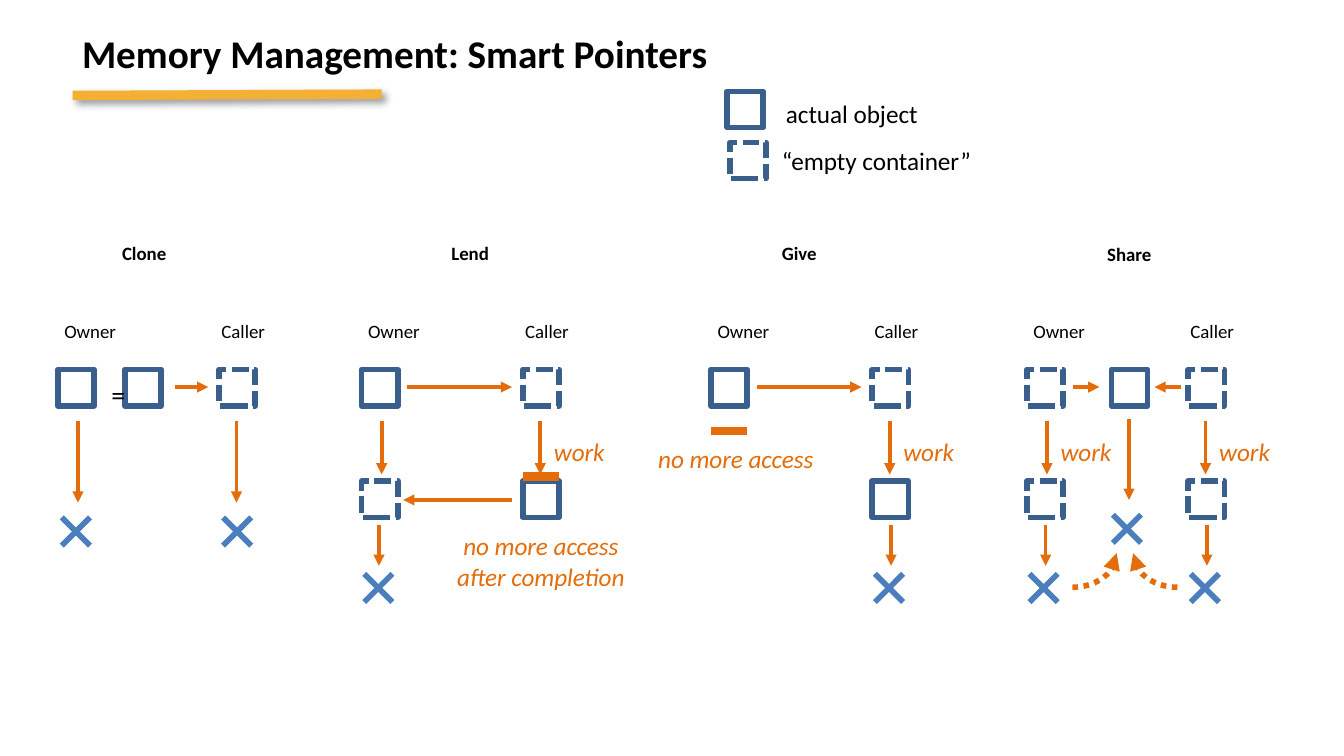
from lxml import etree
from pptx import Presentation
from pptx.dml.color import RGBColor
from pptx.enum.dml import MSO_LINE
from pptx.enum.shapes import MSO_CONNECTOR, MSO_SHAPE
from pptx.enum.text import MSO_ANCHOR, MSO_AUTO_SIZE, PP_ALIGN
from pptx.oxml import parse_xml
from pptx.oxml.ns import nsdecls, qn
from pptx.util import Inches, Pt

STRAIGHT = MSO_CONNECTOR.STRAIGHT
DASH, DOT = MSO_LINE.SQUARE_DOT, MSO_LINE.ROUND_DOT
CENTER, LEFT = PP_ALIGN.CENTER, PP_ALIGN.LEFT

FONT = "Calibri"
BLACK, NAVY, BLUE, ORANGE, GOLD = "000000", "3A5F8C", "4B7EBC", "E46C0A", "F3B033"
SLIDE_WIDTH = 10
SLIDE_HEIGHT = SLIDE_WIDTH * 9 / 16
BOX, CROSS = 0.27, 0.21
CALLER = 1.2  # distance from the owner's box to the caller's box
TOP, MIDDLE = 2.75, 3.58  # rows of boxes
HANDOVER = TOP + 0.13
FULL, EMPTY = False, True

# x values are measured from the left edge of the scheme's owner box
SCHEMES = [
    {"name": "Clone", "x": 0.43, "name_at": (0.38, 1.75, 0.54),
     "boxes": [(0, TOP, FULL), (0.5, TOP, FULL), (CALLER, TOP, EMPTY)],
     "arrows": [(0.87, HANDOVER, 1.12, HANDOVER),
                (0.15, 3.13, 0.15, 3.74), (1.33, 3.13, 1.33, 3.74)],
     "crosses": [(0.03, 3.85), (1.23, 3.85)],
     "bars": [],
     "notes": []},
    {"name": "Lend", "x": 2.69, "name_at": (0.57, 1.75, 0.48),
     "boxes": [(0, TOP, FULL), (CALLER, TOP, EMPTY),
               (0, MIDDLE, EMPTY), (CALLER, MIDDLE, FULL)],
     "arrows": [(0.34, HANDOVER, 1.12, HANDOVER), (1.12, 3.72, 0.31, 3.72),
                (0.15, 3.13, 0.15, 3.53), (1.33, 3.13, 1.33, 3.53),
                (0.13, 3.91, 0.13, 4.21)],
     "crosses": [(0.02, 4.27)],
     "bars": [(CALLER, 3.53)],
     "notes": [("work", 1.33, 3.2, 0.58),
               ("no more access\nafter completion", 0.6, 3.9, 1.47)]},
    {"name": "Give", "x": 5.29, "name_at": (0.43, 1.75, 0.47),
     "boxes": [(0, TOP, FULL), (CALLER, TOP, EMPTY), (CALLER, MIDDLE, FULL)],
     "arrows": [(0.34, HANDOVER, 1.12, HANDOVER),
                (1.33, 3.13, 1.33, 3.53), (1.34, 3.91, 1.34, 4.21)],
     "crosses": [(1.22, 4.27)],
     "bars": [(0, 3.19)],
     "notes": [("work", 1.33, 3.2, 0.58), ("no more access", -0.5, 3.25, 1.37)]},
    {"name": "Share", "x": 7.64, "name_at": (0.5, 1.76, 0.54),
     "boxes": [(0, TOP, EMPTY), (0.63, TOP, FULL), (CALLER, TOP, EMPTY),
               (0, MIDDLE, EMPTY), (CALLER, MIDDLE, EMPTY)],
     "arrows": [(0.34, HANDOVER, 0.54, HANDOVER), (1.15, HANDOVER, 0.95, HANDOVER),
                (0.15, 3.13, 0.15, 3.53), (1.33, 3.13, 1.33, 3.53),
                (0.14, 3.91, 0.14, 4.21), (1.34, 3.91, 1.34, 4.21),
                (0.76, 3.12, 0.76, 3.72)],
     "crosses": [(0.02, 4.27), (1.22, 4.27), (0.64, 3.83)],
     "bars": [],
     "notes": [("work", 0.15, 3.2, 0.58), ("work", 1.33, 3.2, 0.58)]},
]
ROLES = [("Owner", -0.05, 0.59), ("Caller", 1.12, 0.53)]
LEGEND = [  # box x, y, empty; label, x, y, width
    (5.41, 0.68, FULL, "actual object", 5.75, 0.68, 1.2),
    (5.43, 1.06, EMPTY, "“empty container”", 5.72, 1.03, 1.63),
]
ARCS = [(8.43, False), (7.65, True)]  # x, mirrored


def rgb(color):
    return RGBColor.from_string(color)


def style_line(shape, color, width, dash=None, arrow=False):
    line = shape.line
    line.color.rgb = rgb(color)
    line.width = Pt(width)
    if dash is not None:
        line.dash_style = dash
    if arrow:
        etree.SubElement(line._get_or_add_ln(), qn("a:tailEnd"), type="triangle")


def style_text(frame, size, color, align=LEFT, bold=False, italic=False):
    for paragraph in frame.paragraphs:
        paragraph.alignment = align
        for run in paragraph.runs:
            font = run.font
            font.name, font.size = FONT, Pt(size)
            font.bold, font.italic = bold, italic
            font.color.rgb = rgb(color)


def add_label(text, x, y, width, height=0.27, size=10.1, color=BLACK, **style):
    frame = slide.shapes.add_textbox(
        Inches(x), Inches(y), Inches(width), Inches(height)).text_frame
    frame.text = text
    frame.word_wrap = False
    frame.auto_size = MSO_AUTO_SIZE.SHAPE_TO_FIT_TEXT
    style_text(frame, size, color, **style)


def add_line(parent, ends, color, width, arrow=False):
    """Draw a line without shadow and return its effect list."""
    line = parent.add_connector(STRAIGHT, *map(Inches, ends))
    style_line(line, color, width, arrow=arrow)
    return etree.SubElement(line._element.spPr, qn("a:effectLst"))


def add_box(x, y, empty):
    box = slide.shapes.add_shape(
        MSO_SHAPE.RECTANGLE, Inches(x), Inches(y), Inches(BOX), Inches(BOX))
    box.shadow.inherit = False
    box.fill.background()
    style_line(box, NAVY, 3, DASH if empty else None)


def add_cross(x, y):
    strokes = slide.shapes.add_group_shape().shapes
    add_line(strokes, (x, y, x + CROSS, y + CROSS), BLUE, 3)
    add_line(strokes, (x, y + CROSS, x + CROSS, y), BLUE, 3)


def add_bar(x, y):
    """Draw a thick stop bar from two touching lines."""
    for level in (y, y + 0.03):
        add_line(slide.shapes, (x, level, x + BOX, level), ORANGE, 2.25)


def add_arc(x, mirrored):
    arc = slide.shapes.add_shape(
        MSO_SHAPE.ARC, Inches(x), Inches(3.86), Inches(0.66), Inches(0.51))
    arc.rotation = 180
    arc.shadow.inherit = False
    arc.fill.background()
    style_line(arc, ORANGE, 3, DOT, arrow=True)
    if mirrored:
        arc._element.spPr.find(qn("a:xfrm")).set("flipH", "1")


def add_scheme(scheme):
    left = scheme["x"]
    x, y, width = scheme["name_at"]
    add_label(scheme["name"], left + x, y, width, bold=True)
    for role, x, width in ROLES:
        add_label(role, left + x, 2.33, width)
    for x, y, empty in scheme["boxes"]:
        add_box(left + x, y, empty)
    for x1, y1, x2, y2 in scheme["arrows"]:
        add_line(slide.shapes, (left + x1, y1, left + x2, y2), ORANGE, 2, arrow=True)
    for x, y in scheme["crosses"]:
        add_cross(left + x, y)
    for x, y in scheme["bars"]:
        add_bar(left + x, y)
    for note, x, y, width in scheme["notes"]:
        height = 0.56 if "\n" in note else 0.33
        add_label(note, left + x, y, width, height, 13.5, ORANGE,
                  align=CENTER, italic=True)


def add_title(text):
    title = slide.shapes.title
    title.left, title.top = Inches(0.54), Inches(-0.15)
    title.width, title.height = Inches(8.27), Inches(1.13)
    frame = title.text_frame
    frame.text = text
    frame.vertical_anchor = MSO_ANCHOR.MIDDLE
    frame.margin_left = frame.margin_right = Inches(0.07)
    frame.margin_top = frame.margin_bottom = Inches(0.04)
    frame.paragraphs[0].line_spacing = 0.9
    style_text(frame, 21, BLACK, bold=True)
    effects = add_line(slide.shapes, (0.54, 0.71, 2.84, 0.7), GOLD, 5)
    effects.append(parse_xml(
        f'<a:outerShdw {nsdecls("a")} blurRad="{Pt(4)}" dist="{Pt(3)}" dir="2700000">'
        f'<a:srgbClr val="{BLACK}"><a:alpha val="40000"/></a:srgbClr></a:outerShdw>'))


prs = Presentation()
prs.slide_width, prs.slide_height = Inches(SLIDE_WIDTH), Inches(SLIDE_HEIGHT)
slide = prs.slides.add_slide(prs.slide_layouts[5])

add_title("Memory Management: Smart Pointers")
for box_x, box_y, empty, meaning, x, y, width in LEGEND:
    add_box(box_x, box_y, empty)
    add_label(meaning, x, y, width, 0.33, 13.5)
for scheme in SCHEMES:
    add_scheme(scheme)
add_label("=", 0.73, 2.76, 0.31, 0.35, 15)
for x, mirrored in ARCS:
    add_arc(x, mirrored)

prs.save("out.pptx")
